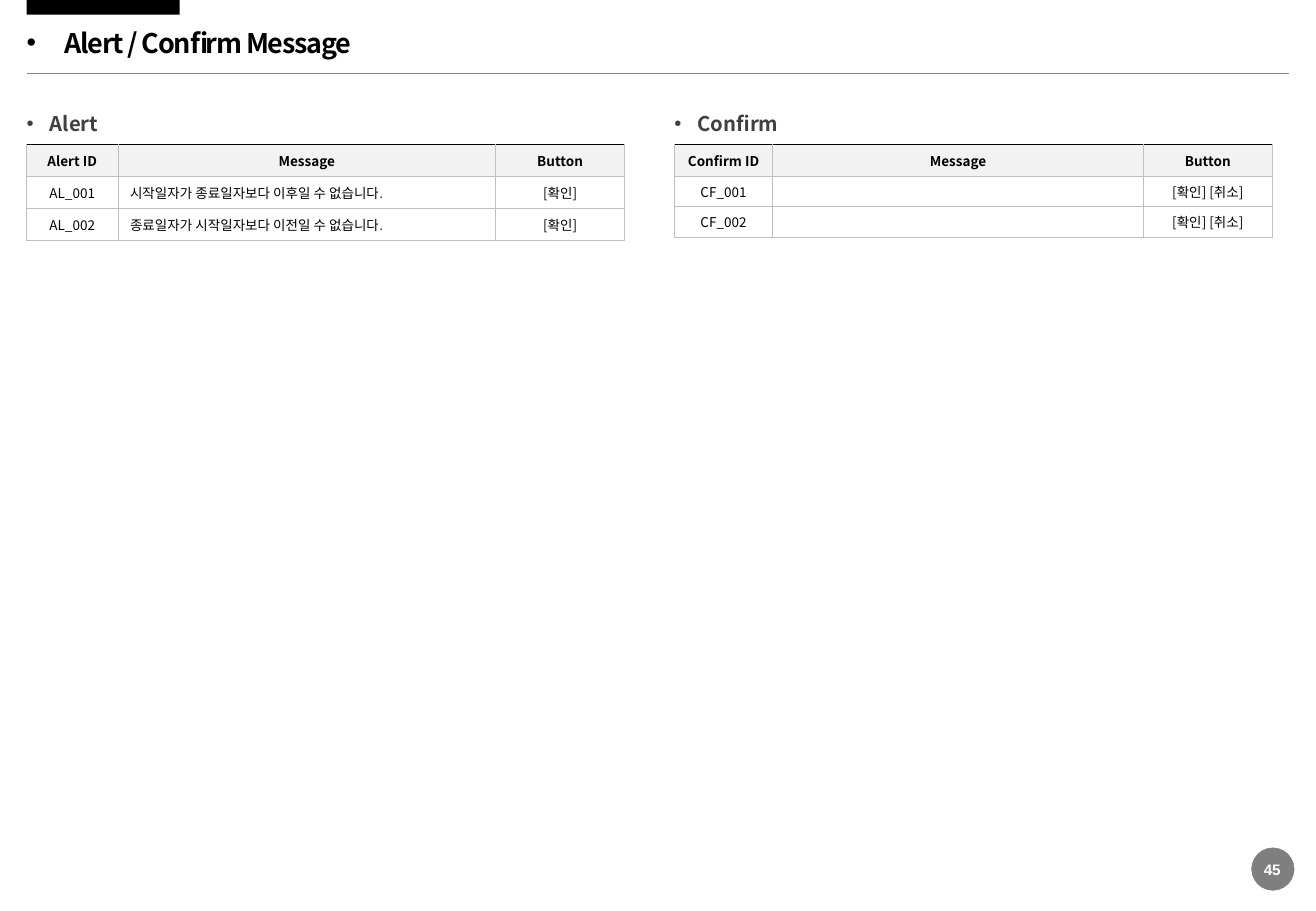
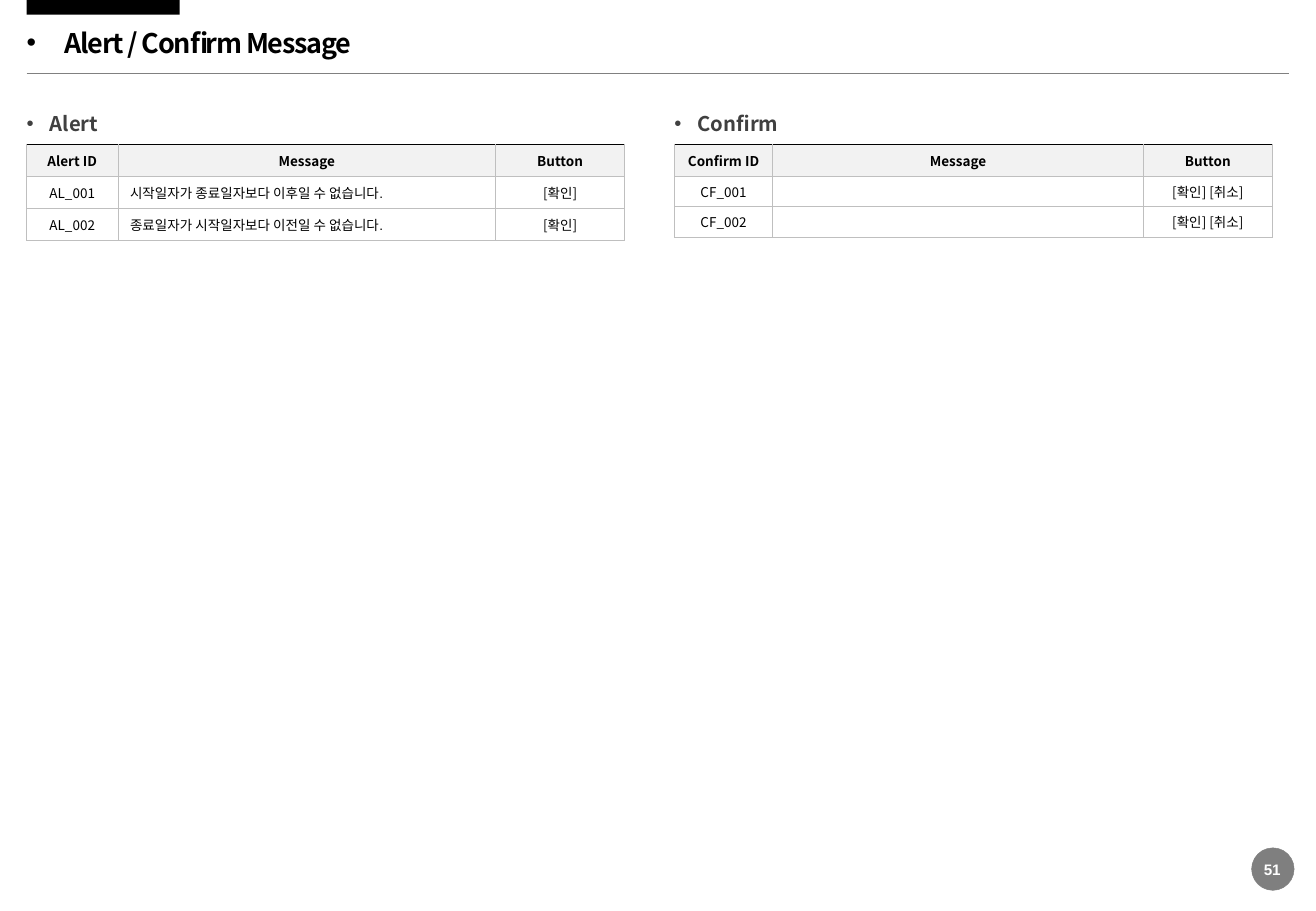
from dataclasses import dataclass

from lxml.etree import SubElement as Sub
from pptx import Presentation
from pptx.dml.color import RGBColor as RGB
from pptx.enum.shapes import MSO_CONNECTOR as Conn, MSO_SHAPE as Kind
from pptx.enum.text import MSO_ANCHOR as Anchor, MSO_AUTO_SIZE as Fit, PP_ALIGN as Align
from pptx.oxml.ns import qn
from pptx.util import Inches, Pt


@dataclass(frozen=True)
class Theme:
    sans: str = "Noto Sans CJK KR"
    plain: str = "Arial"
    black: str = "000000"
    white: str = "FFFFFF"
    dark: str = "404040"
    gray: str = "808080"
    rule: str = "BFBFBF"
    head: str = "F2F2F2"
    title: float = 16
    label: float = 12
    page: float = 9
    cell: float = 8
    hair: float = 0.25
    thin: float = 0.5
    bold: float = 1


T = Theme()
LEFT = 0.22
PANELS = [
    dict(name="Alert", left=LEFT, cols=[0.75, 3.11, 1.06], pad=0.05, rows=[
        ["Alert ID", "Message", "Button"],
        ["AL_001", "시작일자가 종료일자보다 이후일 수 없습니다.", "[확인]"],
        ["AL_002", "종료일자가 시작일자보다 이전일 수 없습니다.", "[확인]"],
    ]),
    dict(name="Confirm", left=5.55, cols=[0.81, 3.05, 1.06], pad=0.04, rows=[
        ["Confirm ID", "Message", "Button"],
        ["CF_001", "", "[확인] [취소]"],
        ["CF_002", "", "[확인] [취소]"],
    ]),
]


def apply(obj, **vals):
    for key, val in vals.items():
        setattr(obj, key, val)


def place(obj, left, top, width, height):
    apply(obj, left=Inches(left), top=Inches(top),
          width=Inches(width), height=Inches(height))


def write(par, text, size, color, bold=True, face=T.sans, align=Align.LEFT):
    """Put one styled run in a paragraph."""
    par.alignment = align
    run = par.add_run()
    run.text = text
    apply(run.font, size=Pt(size), bold=bold, name=face)
    run.font.color.rgb = RGB.from_string(color)
    props = run.font._element
    Sub(props, qn("a:ea"), typeface=T.sans)
    return props


def bullet(par, indent):
    props = par._p.get_or_add_pPr()
    apply_xml = dict(marL=Inches(indent), indent=-Inches(indent))
    for key, val in apply_xml.items():
        props.set(key, str(int(val)))
    Sub(props, qn("a:buFont"), typeface=T.plain)
    Sub(props, qn("a:buChar"), char="•")


def frame(shape, anchor=Anchor.TOP, wrap=True):
    """Strip the insets of a text shape and return its first paragraph."""
    text = shape.text_frame
    apply(text, margin_left=0, margin_top=0, margin_right=0, margin_bottom=0,
          vertical_anchor=anchor, word_wrap=wrap, auto_size=Fit.NONE)
    return text.paragraphs[0]


def solid(slide, kind, box, color):
    shape = slide.shapes.add_shape(kind, *map(Inches, box))
    shape.shadow.inherit = False
    shape.fill.solid()
    shape.fill.fore_color.rgb = RGB.from_string(color)
    shape.line.fill.background()
    return shape


def stroke(line, color, width):
    line.color.rgb = RGB.from_string(color)
    line.width = Pt(width)


def header(slide, text):
    # Tab and rule
    solid(slide, Kind.RECTANGLE, (LEFT, 0, 1.26, 0.12), T.black)
    rule = slide.shapes.add_connector(
        Conn.STRAIGHT, *map(Inches, (LEFT, 0.6, 10.61, 0.6)))
    stroke(rule.line, T.gray, T.hair)
    Sub(rule._element.spPr, qn("a:effectLst"))

    # Title
    title = slide.shapes.title
    place(title, LEFT, 0.21, 6.5, 0.31)
    par = frame(title, Anchor.MIDDLE)
    apply(par, line_spacing=0.9, space_before=Pt(8.1))
    bullet(par, 0.31)
    write(par, text, T.title, T.black).set("spc", "-70")


def badge(slide, page, left, top, size):
    disc = solid(slide, Kind.OVAL, (left, top, size, size), T.black)
    tint = disc._element.spPr.find(qn("a:solidFill"))[0]
    Sub(tint, qn("a:alpha"), val="50000")
    stroke(disc.line, T.gray, T.hair)
    box = slide.shapes.add_textbox(
        *map(Inches, (left + 0.09, top + 0.1, size - 0.19, 0.15)))
    write(frame(box, Anchor.MIDDLE, False), str(page), T.page, T.white,
          face=T.plain, align=Align.CENTER)


def border(cell, first):
    """Draw the four edges, with a black top on the header row."""
    props = cell._tc.get_or_add_tcPr()
    for spot, side in enumerate("LRTB"):
        top = first and side == "T"
        width = Pt(T.bold if top else T.thin)
        edge = Sub(props, qn(f"a:ln{side}"), w=str(int(width)))
        fill = Sub(edge, qn("a:solidFill"))
        Sub(fill, qn("a:srgbClr"), val=T.black if top else T.rule)
        props.insert(spot, edge)


def fill_cell(cell, text, first, note, pad):
    apply(cell, vertical_anchor=Anchor.MIDDLE, margin_left=Inches(0.1),
          margin_right=Inches(0.1), margin_top=Inches(pad),
          margin_bottom=Inches(pad))
    if first:
        cell.fill.solid()
        cell.fill.fore_color.rgb = RGB.from_string(T.head)
    else:
        cell.fill.background()
    border(cell, first)
    par = cell.text_frame.paragraphs[0]
    if text:
        write(par, text, T.cell, T.black, first, T.plain if note else T.sans,
              Align.LEFT if note else Align.CENTER)
    else:
        Sub(par._p, qn("a:endParaRPr"), sz=str(T.cell * 100))


def panel(slide, name, left, cols, rows, pad, top=0.92, step=0.25):
    # Label
    box = slide.shapes.add_textbox(*map(Inches, (left, top, 0.91, 0.2)))
    par = frame(box)
    bullet(par, 0.19)
    write(par, name, T.label, T.dark)

    # Message table
    area = (left, top + 0.27, sum(cols), step * len(rows))
    table = slide.shapes.add_table(
        len(rows), len(cols), *map(Inches, area)).table
    apply(table, first_row=False, horz_banding=False)
    for col, width in zip(table.columns, cols):
        col.width = Inches(width)
    for r, row in enumerate(rows):
        table.rows[r].height = Inches(step)
        for c, text in enumerate(row):
            first = r == 0
            fill_cell(table.cell(r, c), text, first, not first and c == 1,
                      0.05 if first else pad)


def build(deck, page):
    slide = deck.slides.add_slide(deck.slide_layouts[5])
    header(slide, "Alert / Confirm Message")
    badge(slide, page, 10.3, 6.98, 0.35)
    for part in PANELS:
        panel(slide, **part)


def main():
    deck = Presentation()
    apply(deck, slide_width=Inches(10.83), slide_height=Inches(7.5))
    for page in (45, 51):
        build(deck, page)
    deck.save("out.pptx")


if __name__ == "__main__":
    main()
